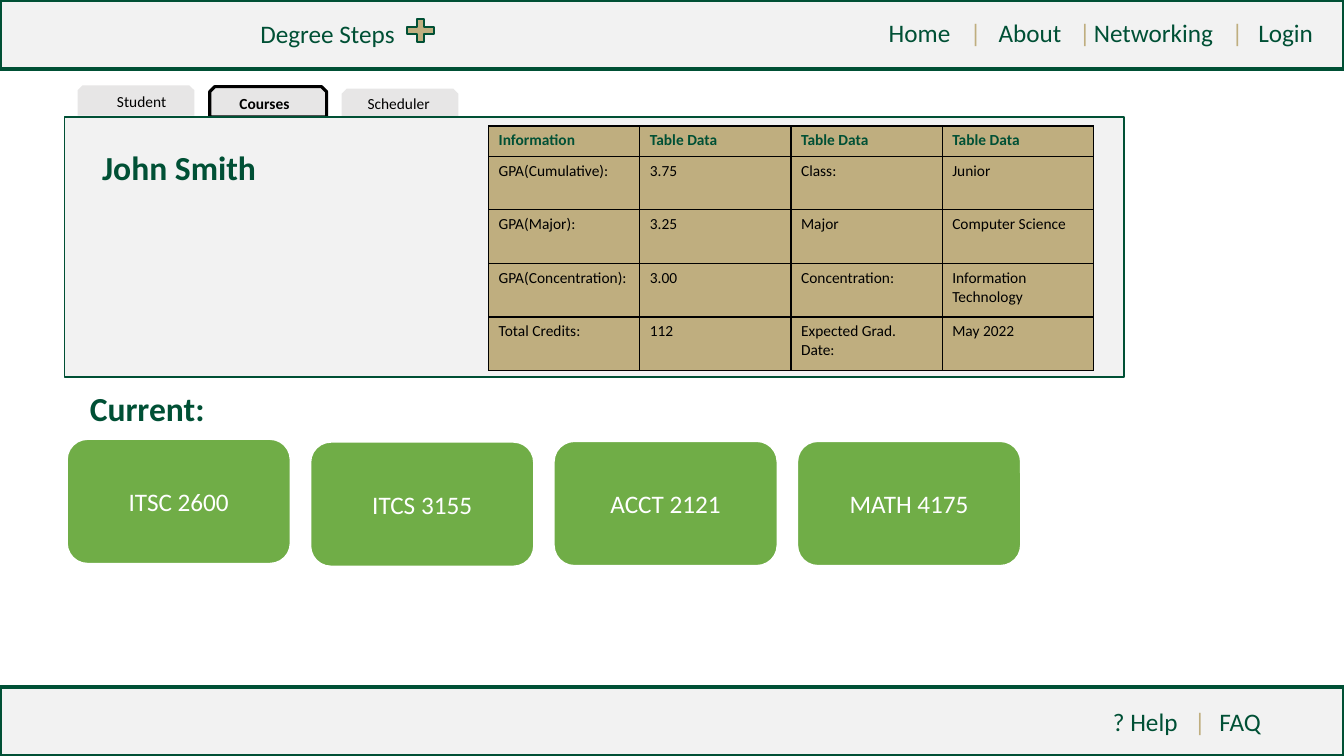
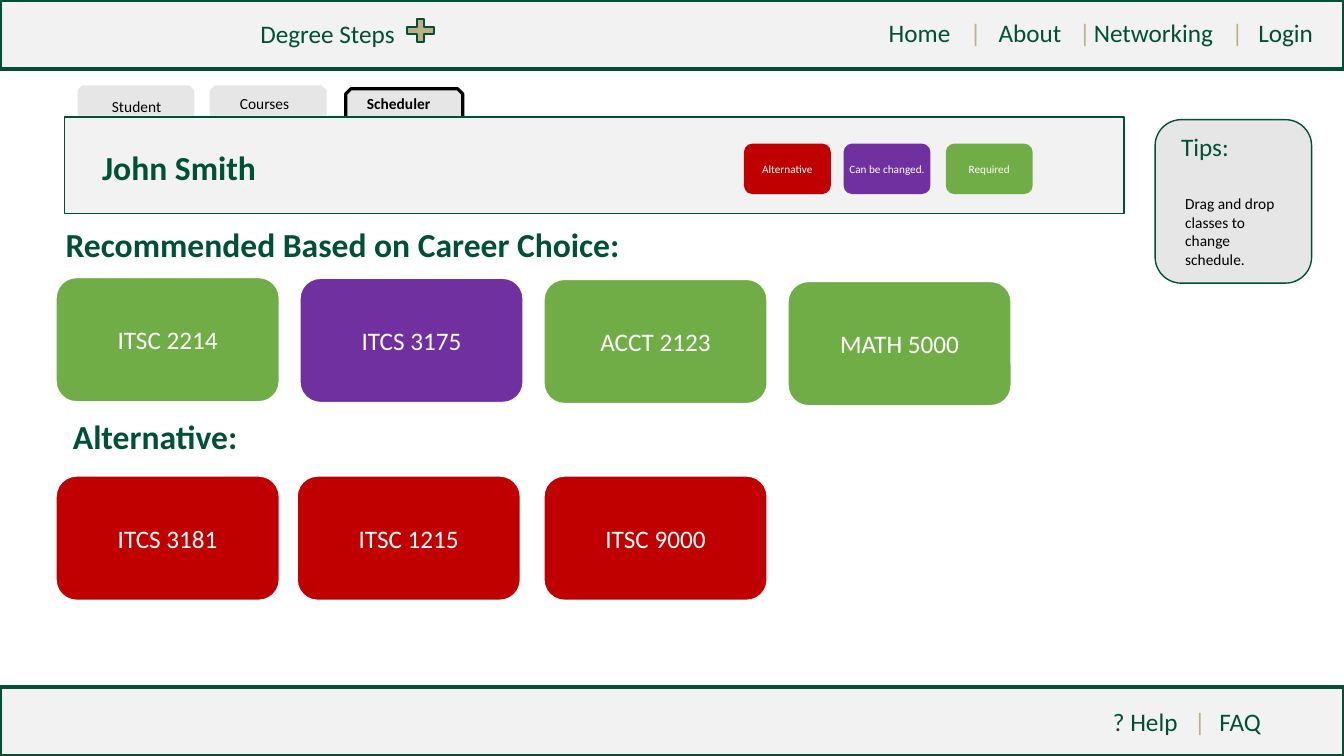
from pptx import Presentation
from pptx.dml.color import RGBColor
from pptx.enum import shapes, text
from pptx.oxml import parse_xml
from pptx.oxml.ns import nsdecls
from pptx.util import Pt

# Shared look
FONT = "Calibri"
GREEN = RGBColor(0x00, 0x50, 0x35)
GOLD = RGBColor(0xBF, 0xAE, 0x7F)
PALE = RGBColor(0xF2, 0xF2, 0xF2)
GREY = RGBColor(0xE7, 0xE6, 0xE6)
BLACK = RGBColor(0x00, 0x00, 0x00)
WHITE = RGBColor(0xFF, 0xFF, 0xFF)
REQUIRED = RGBColor(0x70, 0xAD, 0x47)
CHANGEABLE = RGBColor(0x70, 0x30, 0xA0)
ALTERNATIVE = RGBColor(0xC0, 0x00, 0x00)

PAGE_W, PAGE_H = 960, 540
BAND_H = 49.5
PANEL_LEFT, PANEL_TOP, PANEL_W = 46, 83.5, 757
TAB_W, TAB_H = 83.5, 21.6
CARD_W, CARD_H = 160, 89.3

LEFT, CENTER = text.PP_ALIGN.LEFT, text.PP_ALIGN.CENTER
TOP, MIDDLE = text.MSO_ANCHOR.TOP, text.MSO_ANCHOR.MIDDLE
KIND = shapes.MSO_SHAPE

GRADES = [
    ("Information", "Table Data", "Table Data", "Table Data"),
    ("GPA(Cumulative):", "3.75", "Class:", "Junior"),
    ("GPA(Major):", "3.25", "Major", "Computer Science"),
    ("GPA(Concentration):", "3.00", "Concentration:", "Information Technology"),
    ("Total Credits:", "112", "Expected Grad. Date:", "May 2022"),
]


def write(frame, words, size=18, color=GREEN, bold=False, align=LEFT,
          anchor=TOP, inset=7.2):
    """Fill a text frame; every "|" in the words becomes a gold divider."""
    frame.word_wrap = True
    frame.vertical_anchor = anchor
    frame.margin_left = frame.margin_right = Pt(inset)
    frame.margin_top = frame.margin_bottom = Pt(3.6)
    line = frame.paragraphs[0]
    line.alignment = align
    for index, part in enumerate(words.split("|")):
        pieces = [("|", GOLD)] if index else []
        for piece, tint in pieces + [(part, color)]:
            run = line.add_run()
            run.text = piece
            run.font.name = FONT
            run.font.size = Pt(size)
            run.font.bold = bold
            run.font.color.rgb = tint
    return line


def label(slide, words, left, top, width, height, **style):
    box = slide.shapes.add_textbox(Pt(left), Pt(top), Pt(width), Pt(height))
    return write(box.text_frame, words, **style)


def block(slide, kind, left, top, width, height, fill, line=None, weight=1):
    shape = slide.shapes.add_shape(kind, Pt(left), Pt(top), Pt(width), Pt(height))
    shape.shadow.inherit = False
    shape.fill.solid()
    shape.fill.fore_color.rgb = fill
    if line is None:
        shape.line.fill.background()
    else:
        shape.line.color.rgb = line
        shape.line.width = Pt(weight)
    return shape


def menu(slide, words, left, top, width, stops):
    """A line of links, set on tab stops."""
    line = label(slide, words, left, top, width, 28.8, inset=0)
    tabs = "".join(f'<a:tab pos="{Pt(stop)}" algn="l"/>' for stop in stops)
    line._p.get_or_add_pPr().append(
        parse_xml(f'<a:tabLst {nsdecls("a")}>{tabs}</a:tabLst>'))


def heading(slide, words, left, top, width, align=CENTER):
    """The section heading is the slide's title."""
    title = slide.shapes.title
    title.left, title.top = Pt(left), Pt(top)
    title.width, title.height = Pt(width), Pt(36)
    title.text_frame.auto_size = text.MSO_AUTO_SIZE.NONE
    write(title.text_frame, words, size=24, bold=True, align=align)


def tab(slide, words, left, top, label_left, label_top, active=False):
    block(slide, KIND.SNIP_2_SAME_RECTANGLE, left, top, TAB_W, TAB_H, GREY,
          BLACK if active else None, 2.25)
    label(slide, words, label_left, label_top, 72.7, 20.9, size=11,
          color=BLACK, bold=active, align=CENTER)


def card(slide, words, left, top, fill):
    course = block(slide, KIND.ROUNDED_RECTANGLE, left, top, CARD_W, CARD_H,
                   fill, WHITE, 1.5)
    write(course.text_frame, words, color=WHITE, align=CENTER, anchor=MIDDLE)


def student_panel(slide, height):
    block(slide, KIND.RECTANGLE, PANEL_LEFT, PANEL_TOP, PANEL_W, height,
          PALE, GREEN)
    label(slide, "John Smith", 45.4, 101.5, 165, 36, size=24, bold=True,
          align=CENTER)


def grade_table(slide, left, top):
    grid = slide.shapes.add_table(
        len(GRADES), len(GRADES[0]), Pt(left), Pt(top), Pt(432), Pt(174.8)).table
    grid.first_row = grid.horz_banding = False
    for column in grid.columns:
        column.width = Pt(108)
    for index, values in enumerate(GRADES):
        header = index == 0
        grid.rows[index].height = Pt(21.6 if header else 38.3)
        for cell, value in zip(grid.rows[index].cells, values):
            for side in ("lnL", "lnR", "lnT", "lnB"):
                cell._tc.get_or_add_tcPr().append(parse_xml(
                    f'<a:{side} {nsdecls("a")} w="{Pt(1)}"><a:solidFill>'
                    f'<a:srgbClr val="{BLACK}"/></a:solidFill></a:{side}>'))
            cell.fill.solid()
            cell.fill.fore_color.rgb = GOLD
            write(cell.text_frame, value, size=11, bold=header,
                  color=GREEN if header else BLACK)


def new_slide(deck):
    """Add a slide with the header and footer bands."""
    slide = deck.slides.add_slide(deck.slide_layouts[5])
    for top in (0, 491):
        block(slide, KIND.RECTANGLE, 0, top, PAGE_W, BAND_H, PALE, GREEN, 3)
    label(slide, "Degree Steps", 87, 9.4, 294, 28.8, align=CENTER)
    block(slide, KIND.MATH_PLUS, 287.3, 10.8, 26, 22.3, GOLD, GREEN, 1.5)
    menu(slide, "Home\t|\tAbout\t|\tNetworking\t|\tLogin", 634.8, 8.8, 320,
         (58, 78.5, 136, 146.5, 245, 264))
    menu(slide, "? Help\t|\tFAQ", 795, 501.3, 130, (58, 76))
    return slide


def courses_slide(deck):
    slide = new_slide(deck)
    tab(slide, "Courses", 149.8, 61.9, 152.6, 64, active=True)
    tab(slide, "Student", 55.4, 61, 64.8, 62.6)
    tab(slide, "Scheduler", 244, 63.4, 248.4, 63.4)
    student_panel(slide, 185.8)
    grade_table(slide, 349, 90)

    # Current courses
    heading(slide, "Current:", 5.8, 273.6, 198.7)
    current = [("ITSC 2600", 313.5), ("ITCS 3155", 315.5),
               ("ACCT 2121", 315), ("MATH 4175", 315)]
    for index, (course, top) in enumerate(current):
        card(slide, course, 47.7 + 173.9 * index, top, REQUIRED)


def scheduler_slide(deck):
    slide = new_slide(deck)
    tab(slide, "Scheduler", 247, 63.4, 248.4, 63.4, active=True)
    tab(slide, "Student", 55.4, 61, 61.2, 65.5)
    tab(slide, "Courses", 149.8, 61, 152.6, 64)
    student_panel(slide, 69.1)

    # Colour key
    for words, left, fill in (("Alternative", 531.4, ALTERNATIVE),
                              ("Can be changed.", 602.6, CHANGEABLE),
                              ("Required", 675.6, REQUIRED)):
        key = block(slide, KIND.ROUNDED_RECTANGLE, left, 102.6, 62, 36, fill)
        write(key.text_frame, words, size=8, color=WHITE, align=CENTER,
              anchor=MIDDLE, inset=0)

    # Recommended and alternative courses
    heading(slide, "Recommended Based on Career Choice:", 39.6, 156.2, 463,
            align=LEFT)
    label(slide, "Alternative:", 11.5, 293.8, 198.7, 36, size=24, bold=True,
          align=CENTER)
    for course, left, top, fill in (
            ("ITSC 2214", 39.8, 198, REQUIRED),
            ("ITCS 3175", 214, 198.5, CHANGEABLE),
            ("ACCT 2123", 388.3, 199.3, REQUIRED),
            ("MATH 5000", 562.6, 200.8, REQUIRED),
            ("ITCS 3181", 39.8, 339.8, ALTERNATIVE),
            ("ITSC 1215", 212, 339.8, ALTERNATIVE),
            ("ITSC 9000", 388.3, 339.8, ALTERNATIVE)):
        card(slide, course, left, top, fill)

    # Tips
    block(slide, KIND.ROUNDED_RECTANGLE, 825.1, 85.5, 111.8, 116.8, GREY, GREEN)
    label(slide, "Tips:", 836.6, 90, 67.7, 28.8)
    label(slide, "Drag and drop classes to change schedule.", 839.5, 135.4,
          91.4, 60, size=11, color=BLACK)


def main():
    deck = Presentation()
    deck.slide_width, deck.slide_height = Pt(PAGE_W), Pt(PAGE_H)
    courses_slide(deck)
    scheduler_slide(deck)
    deck.save("out.pptx")


if __name__ == "__main__":
    main()
